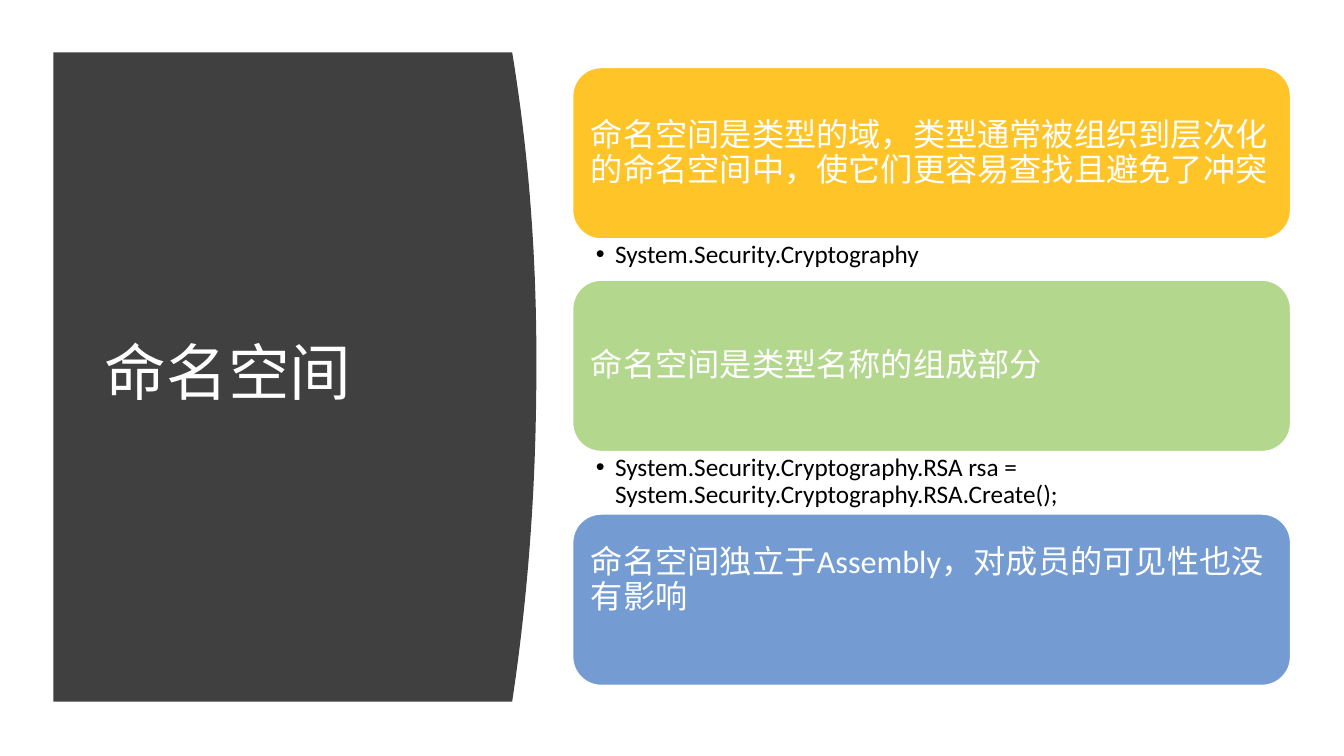
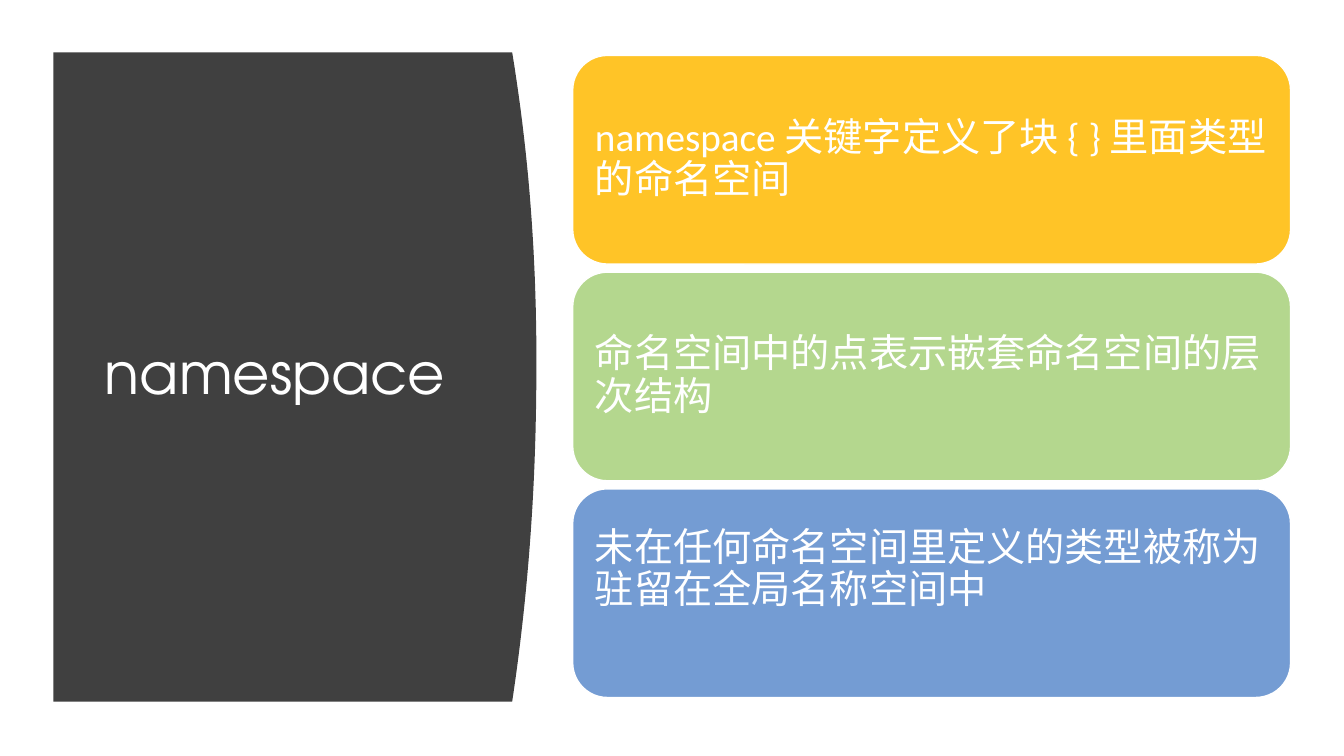
"""Build two slides on namespaces, each with a curved title panel and stacked boxes."""
from dataclasses import dataclass

from lxml import etree
from pptx import Presentation
from pptx.dml.color import RGBColor
from pptx.enum.shapes import MSO_SHAPE
from pptx.enum.text import MSO_ANCHOR, MSO_AUTO_SIZE, PP_ALIGN
from pptx.oxml.ns import qn
from pptx.util import Emu, Pt

ROUNDED = MSO_SHAPE.ROUNDED_RECTANGLE
MIDDLE = MSO_ANCHOR.MIDDLE
TOP = MSO_ANCHOR.TOP
LEFT = PP_ALIGN.LEFT
NO_FIT = MSO_AUTO_SIZE.NONE
EMU_PER_PX = 9144

SLIDE_WIDTH, SLIDE_HEIGHT = 1333, 750
PANEL_LEFT, PANEL_TOP, PANEL_BOTTOM = 53, 52, 696
PANEL_EDGE, PANEL_BULGE, PANEL_PEAK, PANEL_STEPS = 508, 24, 360, 46
TITLE_FRAME = (94, 111, 374, 524)
STACK_LEFT, STACK_WIDTH = 568, 712
BULLET_INDENT = 19


@dataclass(frozen=True)
class Theme:
    title_font: str = "TeX Gyre Adventor"
    body_font: str = "Calibri"
    panel: RGBColor = RGBColor(0x40, 0x40, 0x40)
    light: RGBColor = RGBColor(0xFF, 0xFF, 0xFF)
    dark: RGBColor = RGBColor(0, 0, 0)
    accents: tuple[RGBColor, ...] = (
        RGBColor(0xFF, 0xC4, 0x27),
        RGBColor(0xB4, 0xD7, 0x8E),
        RGBColor(0x74, 0x9C, 0xD3),
    )
    example_size: int = 18
    outline: int = 1
    line_spacing: float = 0.9


@dataclass(frozen=True)
class Point:
    statement: str
    gap_below: int = 8
    example: str = ""


@dataclass(frozen=True)
class Topic:
    title: str
    title_size: int
    stack_top: int
    box_height: int
    inset: int
    statement_size: int
    points: tuple[Point, ...]


THEME = Theme()
TOPICS = (
    Topic("命名空间", 44, 67, 170, 10, 23, (
        Point("命名空间是类型的域，类型通常被组织到层次化的命名空间中，使它们更容易查找且避免了冲突",
              41, "System.Security.Cryptography"),
        Point("命名空间是类型名称的组成部分", 62,
              "System.Security.Cryptography.RSA rsa = System.Security.Cryptography.RSA.Create();"),
        Point("命名空间独立于Assembly，对成员的可见性也没有影响\v"),
    )),
    Topic("namespace", 41, 55, 207, 12, 28, (
        Point("namespace 关键字定义了块 { } 里面类型的命名空间"),
        Point("命名空间中的点表示嵌套命名空间的层次结构"),
        Point("未在任何命名空间里定义的类型被称为驻留在全局名称空间中\v"),
    )),
)


def px(length: float) -> Emu:
    return Emu(round(length * EMU_PER_PX))


def write(frame, text: str, font: str, size: int, color: RGBColor,
          anchor=MIDDLE, insets: tuple[int, int, int, int] = (10, 5, 10, 5)):
    frame.word_wrap = True
    frame.auto_size = NO_FIT
    frame.vertical_anchor = anchor
    (frame.margin_left, frame.margin_top,
     frame.margin_right, frame.margin_bottom) = map(px, insets)
    paragraph = frame.paragraphs[0]
    paragraph.text = text
    paragraph.alignment = LEFT
    paragraph.line_spacing = THEME.line_spacing
    paragraph.font.name = font
    paragraph.font.size = Pt(size)
    paragraph.font.color.rgb = color


def add_bullet(paragraph) -> None:
    paragraph.level = 1
    properties = paragraph._p.get_or_add_pPr()
    properties.set("marL", str(px(BULLET_INDENT)))
    properties.set("indent", str(-px(BULLET_INDENT)))
    etree.SubElement(properties, qn("a:buFont")).set("typeface", "Arial")
    etree.SubElement(properties, qn("a:buChar")).set("char", "•")


def panel_edge(y: float) -> float:
    reach = PANEL_PEAK - PANEL_TOP if y < PANEL_PEAK else PANEL_BOTTOM - PANEL_PEAK
    return PANEL_EDGE + PANEL_BULGE * (1 - (abs(y - PANEL_PEAK) / reach) ** 2.1)


def add_title_panel(slide, topic: Topic) -> None:
    step = (PANEL_BOTTOM - PANEL_TOP) / PANEL_STEPS
    heights = [PANEL_TOP + step * index for index in range(PANEL_STEPS + 1)]
    outline = [(px(panel_edge(y)), px(y)) for y in heights]
    outline.append((px(PANEL_LEFT), px(PANEL_BOTTOM)))
    builder = slide.shapes.build_freeform(px(PANEL_LEFT), px(PANEL_TOP))
    builder.add_line_segments(outline, close=True)
    panel = builder.convert_to_shape()
    panel.shadow.inherit = False
    panel.fill.solid()
    panel.fill.fore_color.rgb = THEME.panel
    panel.line.fill.background()

    title = slide.shapes.title
    title._element.addprevious(panel._element)
    title.left, title.top, title.width, title.height = map(px, TITLE_FRAME)
    write(title.text_frame, topic.title, THEME.title_font, topic.title_size, THEME.light)


def add_statement(slide, topic: Topic, point: Point, top: int, accent: RGBColor) -> None:
    box = slide.shapes.add_shape(
        ROUNDED, px(STACK_LEFT), px(top), px(STACK_WIDTH), px(topic.box_height))
    box.shadow.inherit = False
    box.fill.solid()
    box.fill.fore_color.rgb = accent
    box.line.color.rgb = THEME.light
    box.line.width = Pt(THEME.outline)
    write(box.text_frame, point.statement, THEME.body_font, topic.statement_size,
          THEME.light, insets=(topic.inset,) * 4)


def add_example(slide, point: Point, top: int) -> None:
    frame = slide.shapes.add_textbox(
        px(STACK_LEFT), px(top), px(STACK_WIDTH), px(point.gap_below)).text_frame
    add_bullet(frame.paragraphs[0])
    write(frame, point.example, THEME.body_font, THEME.example_size, THEME.dark,
          TOP, (23, 3, 18, 3))


def add_topic_slide(deck, topic: Topic) -> None:
    slide = deck.slides.add_slide(deck.slide_layouts.get_by_name("Title Only"))
    add_title_panel(slide, topic)
    top = topic.stack_top
    for point, accent in zip(topic.points, THEME.accents):
        add_statement(slide, topic, point, top, accent)
        top += topic.box_height
        if point.example:
            add_example(slide, point, top)
        top += point.gap_below


def main() -> None:
    deck = Presentation()
    deck.slide_width, deck.slide_height = px(SLIDE_WIDTH), px(SLIDE_HEIGHT)
    for topic in TOPICS:
        add_topic_slide(deck, topic)
    deck.save("out.pptx")


if __name__ == "__main__":
    main()
